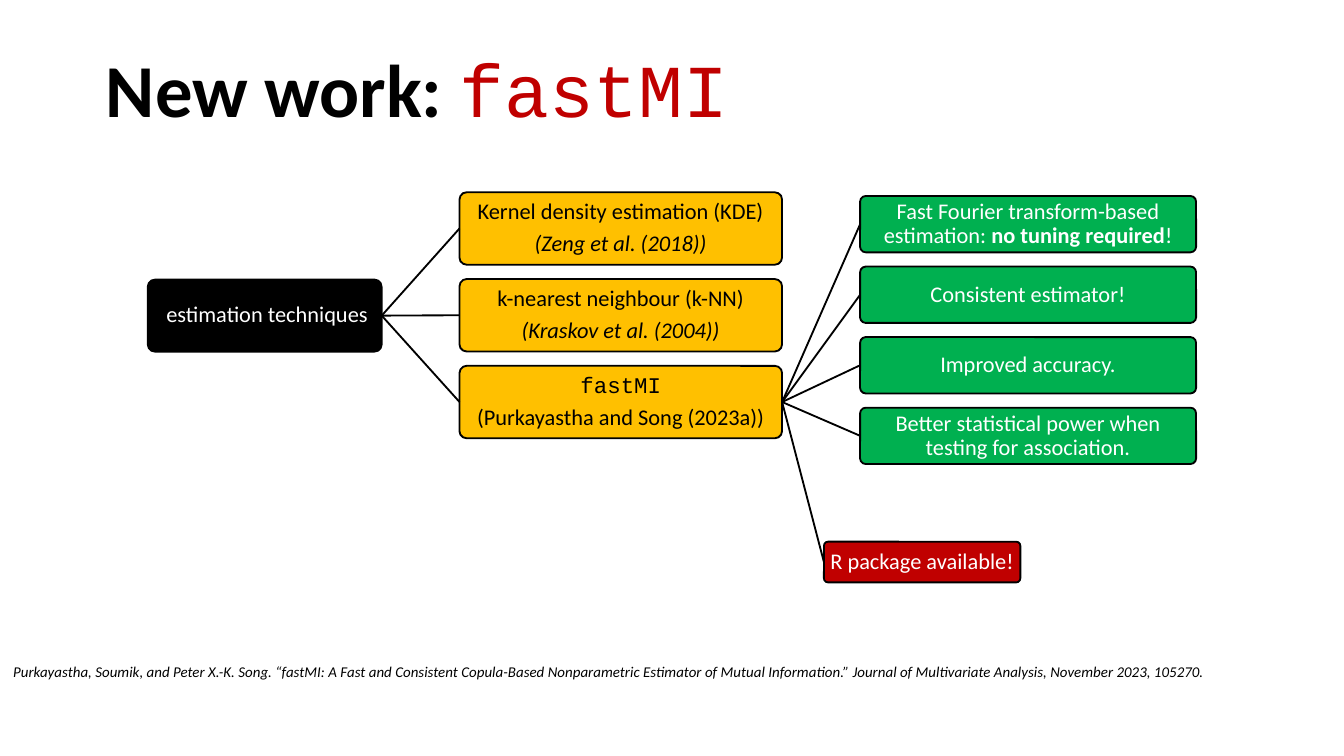
from lxml import etree
from pptx import Presentation
from pptx.dml.color import RGBColor
from pptx.enum.shapes import MSO_CONNECTOR, MSO_SHAPE
from pptx.enum.text import MSO_ANCHOR, PP_ALIGN
from pptx.oxml.ns import qn
from pptx.util import Pt

ROUNDED = MSO_SHAPE.ROUNDED_RECTANGLE
STRAIGHT = MSO_CONNECTOR.STRAIGHT
MIDDLE, TOP = MSO_ANCHOR.MIDDLE, MSO_ANCHOR.TOP
LEFT, CENTER, JUSTIFY = PP_ALIGN.LEFT, PP_ALIGN.CENTER, PP_ALIGN.JUSTIFY
LEFT_SIDE, RIGHT_SIDE = 1, 3

THEME = {
    "black": "000000", "white": "FFFFFF", "amber": "FFC000",
    "green": "00B050", "red": "C00000",
    "body": "Calibri", "code": "Courier New",
    "title_size": 40, "box_size": 12, "citation_size": 8,
}

# Content: each paragraph is a list of (text, overrides) runs
TITLE = [[("New work: ", {"bold": True}),
          ("fastMI", {"font": "code", "color": "red"})]]
ROOT = [[("estimation techniques", {})]]
METHODS = [
    [[("Kernel density estimation (KDE)", {})],
     [("(Zeng et al. (2018))", {"italic": True})]],
    [[("k-nearest neighbour (k-NN)", {})],
     [("(Kraskov et al. (2004))", {"italic": True})]],
    [[("fastMI", {"font": "code"})],
     [("(Purkayastha and Song (2023a))", {})]],
]
BENEFITS = [
    [[("Fast Fourier transform-based estimation: ", {}),
      ("no tuning required", {"bold": True}), ("!", {})]],
    [[("Consistent estimator!", {})]],
    [[("Improved accuracy.", {})]],
    [[("Better statistical power when testing for association.", {})]],
]
PACKAGE = [[("R package available!", {})]]
CITATION = [[(
    "Purkayastha, Soumik, and Peter X.-K. Song. “fastMI: A Fast and Consistent "
    "Copula-Based Nonparametric Estimator of Mutual Information.” Journal of "
    "Multivariate Analysis, November 2023, 105270.", {"italic": True})]]

# Layout in points: left, top, width, height of the first box, and row pitch
ROOT_BOX = (79.2, 149.8, 125.3, 38.6)
METHOD_BOX, METHOD_PITCH = (246.2, 103, 172.8, 38.8), 46.5
BENEFIT_BOX, BENEFIT_PITCH = (460.8, 105, 180, 30.2), 37.8
PACKAGE_BOX = (441.4, 290.2, 105.2, 21.8)


def rgb(name):
    return RGBColor.from_string(THEME[name])


def write(frame, paragraphs, size, color, align, anchor, line_spacing=0.9):
    frame.word_wrap = True
    frame.vertical_anchor = anchor
    for index, runs in enumerate(paragraphs):
        paragraph = frame.paragraphs[0] if index == 0 else frame.add_paragraph()
        paragraph.alignment = align
        paragraph.line_spacing = line_spacing
        if index:
            paragraph.space_before = Pt(4.2)
        for text, style in runs:
            run = paragraph.add_run()
            run.text = text
            run.font.name = THEME[style.get("font", "body")]
            run.font.size = Pt(THEME[size])
            run.font.bold = style.get("bold", False)
            run.font.italic = style.get("italic", False)
            run.font.color.rgb = rgb(style.get("color", color))


def add_text(slide, box, *args, **options):
    shape = slide.shapes.add_textbox(*map(Pt, box))
    write(shape.text_frame, *args, **options)


def add_box(slide, box, paragraphs, fill, color, left_inset=1):
    shape = slide.shapes.add_shape(ROUNDED, *map(Pt, box))
    shape.shadow.inherit = False
    shape.adjustments[0] = 0.1
    shape.fill.solid()
    shape.fill.fore_color.rgb = rgb(fill)
    shape.line.color.rgb = rgb("black")
    shape.line.width = Pt(1)
    frame = shape.text_frame
    frame.margin_left = Pt(left_inset)
    frame.margin_right = frame.margin_top = frame.margin_bottom = Pt(1)
    write(frame, paragraphs, "box_size", color, CENTER, MIDDLE)
    return shape


def add_column(slide, first_box, pitch, items, fill, color):
    left, top, width, height = first_box
    return [add_box(slide, (left, top + row * pitch, width, height), item, fill, color)
            for row, item in enumerate(items)]


def join(slide, parent, children):
    for child in children:
        connector = slide.shapes.add_connector(STRAIGHT, 0, 0, 0, 0)
        connector.begin_connect(parent, RIGHT_SIDE)
        connector.end_connect(child, LEFT_SIDE)
        connector.line.color.rgb = rgb("black")
        connector.line.width = Pt(1)
        etree.SubElement(connector._element.spPr, qn("a:effectLst"))


def main():
    presentation = Presentation()
    presentation.slide_width, presentation.slide_height = Pt(720), Pt(405)
    slide = presentation.slides.add_slide(presentation.slide_layouts[6])

    # Title
    add_text(slide, (49.7, 22.3, 620.6, 55.4), TITLE, "title_size", "black", LEFT, MIDDLE)

    # Tree of techniques
    root = add_box(slide, ROOT_BOX, ROOT, "black", "white", left_inset=3.6)
    methods = add_column(slide, METHOD_BOX, METHOD_PITCH, METHODS, "amber", "black")
    benefits = add_column(slide, BENEFIT_BOX, BENEFIT_PITCH, BENEFITS, "green", "white")
    package = add_box(slide, PACKAGE_BOX, PACKAGE, "red", "white")
    join(slide, root, methods)
    join(slide, methods[-1], benefits + [package])

    # Citation
    add_text(slide, (0, 351.4, 720, 17), CITATION, "citation_size", "black",
             JUSTIFY, TOP, line_spacing=1.0)

    presentation.save("out.pptx")


if __name__ == "__main__":
    main()
